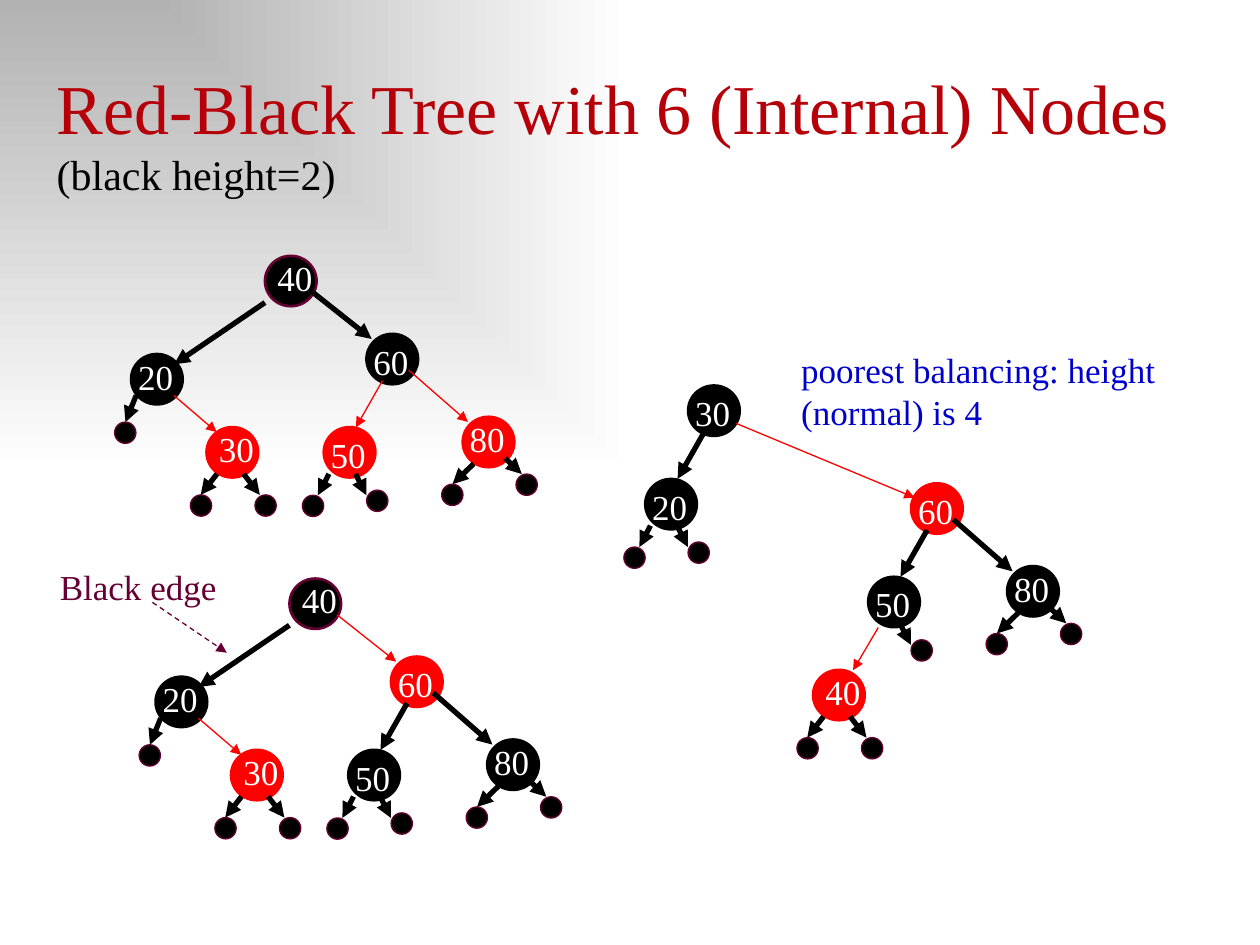
from dataclasses import dataclass
from typing import NamedTuple, Optional

from lxml.etree import SubElement
from pptx import Presentation
from pptx.dml.color import RGBColor
from pptx.enum.dml import MSO_LINE
from pptx.enum.shapes import MSO_CONNECTOR, MSO_SHAPE
from pptx.enum.text import MSO_ANCHOR, MSO_AUTO_SIZE, PP_ALIGN
from pptx.oxml.ns import qn
from pptx.util import Pt


@dataclass(frozen=True)
class Theme:
    """Colours, font and type sizes of the slide."""
    font: str = "Times New Roman"
    title_size: float = 40
    subtitle_size: float = 24
    body_size: float = 20
    black: str = "000000"
    red: str = "FF0000"
    white: str = "FFFFFF"
    grey: str = "B2B2B2"
    plum: str = "660033"
    blue: str = "0000CC"
    title: str = "B60009"


class Spot(NamedTuple):
    """A position or an offset in points."""
    x: float
    y: float

    def plus(self, other: "Spot") -> "Spot":
        """Return this spot moved by another."""
        return Spot(self.x + other.x, self.y + other.y)


class Edge(NamedTuple):
    """An arrow relative to its parent node, to an inner child or a leaf."""
    start: Spot
    end: Spot
    child: Optional[int] = None
    leaf: Optional[Spot] = None


class Node(NamedTuple):
    """An inner node, its label offset and its outgoing edges."""
    key: int
    corner: Spot
    label: Spot
    edges: tuple[Edge, ...]
    rim: Optional[str] = None


class Tree(NamedTuple):
    """A set of nodes with the keys that are red and a shift on the page."""
    nodes: tuple[Node, ...]
    red_keys: frozenset[int]
    shift: Spot = Spot(0, 0)


THEME = Theme()
NODE_WIDTH, NODE_HEIGHT, LEAF_SIZE = 29.5, 28.8, 12.2

UP, LEFT, UP_LEFT = Spot(0, -3.3), Spot(-3.1, 0), Spot(-3.1, -2.9)

STEEP_LEAVES = (
    Edge(Spot(3, 26.7), Spot(-3.3, 38.9), leaf=Spot(-12.2, 38.9)),
    Edge(Spot(18.2, 26.7), Spot(24.4, 38.9), leaf=Spot(24.5, 36)),
)
EVEN_LEAVES = (
    Edge(Spot(6, 26.7), Spot(-3.3, 38.7), leaf=Spot(-9.2, 38.7)),
    Edge(Spot(21.2, 26.7), Spot(30.5, 38.7), leaf=Spot(27.7, 38.7)),
)
WIDE_LEAVES = (
    Edge(Spot(6.3, 26.8), Spot(-5.8, 38.5), leaf=Spot(-12, 38.5)),
    Edge(Spot(24.3, 23.7), Spot(33.8, 32.7), leaf=Spot(30.5, 32.7)),
)
SINGLE_LEAF = Edge(Spot(2.9, 23.7), Spot(-3.2, 38.9), leaf=Spot(-9.4, 38.9))


def left_edge(child: int) -> Edge:
    """Return the steep edge down to a left child."""
    return Edge(Spot(9.2, 26.7), Spot(-6, 53.4), child)


def right_edge(child: int) -> Edge:
    """Return the sloping edge down to a right child."""
    return Edge(Spot(24.2, 20.7), Spot(58, 50.3), child)


BALANCED = (
    Node(40, Spot(151.4, 146.2), UP, (
        Edge(Spot(0, 26.7), Spot(-51.9, 62), 20),
        Edge(Spot(27.3, 20.8), Spot(61, 47.5), 60)), THEME.plum),
    Node(20, Spot(74.9, 202.3), UP_LEFT, (
        SINGLE_LEAF, Edge(Spot(24.5, 23.7), Spot(48.9, 44.6), 30))),
    Node(60, Spot(209.4, 190.8), LEFT, (left_edge(50), right_edge(80))),
    Node(30, Spot(118, 244.1), UP, EVEN_LEAVES),
    Node(50, Spot(185, 244.1), LEFT, STEEP_LEAVES),
    Node(80, Spot(264.4, 238.2), UP_LEFT, WIDE_LEAVES),
)
POOREST = (
    Node(30, Spot(393.2, 220.3), LEFT, (
        left_edge(20), Edge(Spot(27.3, 21.6), Spot(129.5, 64.1), 60))),
    Node(20, Spot(368.7, 273.7), LEFT, STEEP_LEAVES),
    Node(60, Spot(520.6, 276.2), LEFT, (left_edge(50), right_edge(80))),
    Node(50, Spot(496.1, 329.6), LEFT, (
        Edge(Spot(5.8, 29), Spot(-8.6, 53.4), 40), STEEP_LEAVES[1])),
    Node(80, Spot(575.5, 323.5), UP_LEFT, WIDE_LEAVES),
    Node(40, Spot(464.6, 382.8), UP, EVEN_LEAVES),
)
TREES = (
    Tree(BALANCED, frozenset({30, 50, 80})),
    Tree(BALANCED, frozenset({30, 60}), Spot(14, 184.4)),
    Tree(POOREST, frozenset({40, 60})),
)


def rgb(code: str) -> RGBColor:
    """Turn a hex code into a colour."""
    return RGBColor.from_string(code)


def draw_circle(page, corner: Spot, width: float, height: float,
                fill: str, rim: str, weight: float) -> None:
    """Draw a filled ellipse with an outline."""
    circle = page.shapes.add_shape(
        MSO_SHAPE.OVAL, Pt(corner.x), Pt(corner.y), Pt(width), Pt(height))
    circle.shadow.inherit = False
    circle.fill.solid()
    circle.fill.fore_color.rgb = rgb(fill)
    circle.line.color.rgb = rgb(rim)
    circle.line.width = Pt(weight)


def draw_arrow(page, start: Spot, end: Spot, color: str, weight: float,
               dashed: bool = False) -> None:
    """Draw a straight arrow between two spots."""
    arrow = page.shapes.add_connector(
        MSO_CONNECTOR.STRAIGHT, Pt(start.x), Pt(start.y), Pt(end.x), Pt(end.y))
    arrow.line.color.rgb = rgb(color)
    arrow.line.width = Pt(weight)
    if dashed:
        arrow.line.dash_style = MSO_LINE.DASH
    properties = arrow.element.spPr
    SubElement(properties.find(qn("a:ln")), qn("a:tailEnd"), type="triangle")
    SubElement(properties, qn("a:effectLst"))


def draw_text(page, text: str, corner: Spot, width: float, height: float,
              color: str, align: PP_ALIGN = PP_ALIGN.LEFT) -> None:
    """Draw a one-paragraph text box."""
    box = page.shapes.add_textbox(
        Pt(corner.x), Pt(corner.y), Pt(width), Pt(height))
    box.text_frame.word_wrap = True
    box.text_frame.auto_size = MSO_AUTO_SIZE.SHAPE_TO_FIT_TEXT
    para = box.text_frame.paragraphs[0]
    para.text = text
    para.alignment = align
    para.font.name = THEME.font
    para.font.size = Pt(THEME.body_size)
    para.font.color.rgb = rgb(color)


def draw_tree(page, tree: Tree) -> None:
    """Draw all nodes of a tree, then its leaves and edges."""
    for node in tree.nodes:
        corner = node.corner.plus(tree.shift)
        fill = THEME.red if node.key in tree.red_keys else THEME.black
        draw_circle(page, corner, NODE_WIDTH, NODE_HEIGHT,
                    fill, node.rim or fill, 1.5)
        draw_text(page, str(node.key), corner.plus(node.label),
                  42.5, 31, THEME.white)
    for node in tree.nodes:
        corner = node.corner.plus(tree.shift)
        for edge in node.edges:
            if edge.leaf:
                draw_circle(page, corner.plus(edge.leaf), LEAF_SIZE, LEAF_SIZE,
                            THEME.black, THEME.plum, 0.75)
            is_red = edge.child in tree.red_keys
            draw_arrow(page, corner.plus(edge.start), corner.plus(edge.end),
                       THEME.red if is_red else THEME.black,
                       0.75 if is_red else 3)


def paint_background(page) -> None:
    """Fill the page with a gradient that spreads from the top left."""
    fill = page.background.fill
    fill.gradient()
    for stop, color in zip(fill.gradient_stops, (THEME.grey, THEME.white)):
        stop.color.rgb = rgb(color)
    gradient = page.element.find(".//" + qn("a:gradFill"))
    gradient.remove(gradient.find(qn("a:lin")))
    spread = SubElement(gradient, qn("a:path"), path="rect")
    SubElement(spread, qn("a:fillToRect"), r="100000", b="100000")


def write_title(page) -> None:
    """Place the title and its smaller second line."""
    title = page.shapes.title
    title.left, title.top, title.width, title.height = (
        Pt(25.2), Pt(32.4), Pt(680.4), Pt(85))
    frame = title.text_frame
    frame.vertical_anchor = MSO_ANCHOR.BOTTOM
    frame.auto_size = MSO_AUTO_SIZE.SHAPE_TO_FIT_TEXT
    para = frame.paragraphs[0]
    para.alignment = PP_ALIGN.LEFT
    para.font.name = THEME.font
    lines = (("Red-Black Tree with 6 (Internal) Nodes", THEME.title_size, THEME.title),
             ("(black height=2)", THEME.subtitle_size, THEME.black))
    for index, (text, size, color) in enumerate(lines):
        if index:
            para.add_line_break()
        span = para.add_run()
        span.text = text
        span.font.name = THEME.font
        span.font.size = Pt(size)
        span.font.color.rgb = rgb(color)


def main() -> None:
    """Build the deck and save it."""
    deck = Presentation()
    deck.slide_width, deck.slide_height = Pt(720), Pt(540)
    page = deck.slides.add_slide(deck.slide_layouts[5])
    paint_background(page)
    write_title(page)
    for tree in TREES:
        draw_tree(page, tree)
    draw_text(page, "poorest balancing: height (normal) is 4",
              Spot(450.7, 195.8), 226.8, 55.4, THEME.blue)
    draw_text(page, "Black edge", Spot(0, 319.7), 158, 31, THEME.plum, PP_ALIGN.CENTER)
    draw_arrow(page, Spot(87.1, 344.2), Spot(129.6, 373), THEME.plum, 0.75, True)
    deck.save("out.pptx")


if __name__ == "__main__":
    main()
